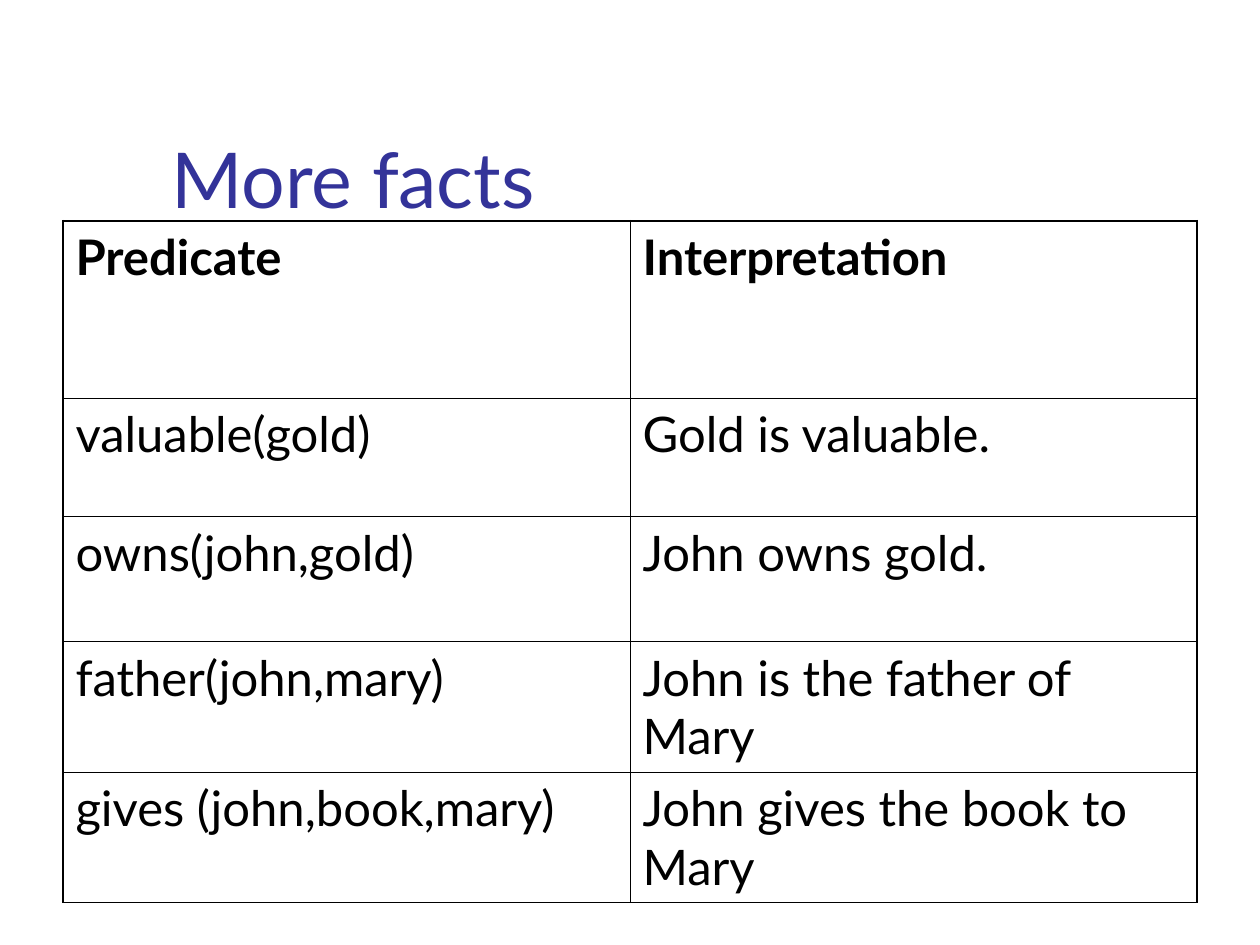
from lxml.etree import SubElement
from pptx import Presentation
from pptx.dml.color import RGBColor
from pptx.enum.text import MSO_ANCHOR, PP_ALIGN
from pptx.oxml.ns import qn
from pptx.util import Cm, Pt

FONT = "Lato"
BLACK, INDIGO = "000000", "333399"
THIN, THICK = 0.45, 1.08

ROWS = [
    ("Predicate", "Interpretation"),
    ("valuable(gold)", "Gold is valuable."),
    ("owns(john,gold)", "John owns gold."),
    ("father(john,mary)", "John is the father of Mary"),
    ("gives (john,book,mary)", "John gives the book to Mary"),
]
ROW_HEIGHTS = [3.58, 2.38, 2.52, 2.63, 2.63]


def rgb(color):
    return RGBColor.from_string(color)


def format_text(tf, size, color, bold=False):
    tf.word_wrap = True
    tf.margin_left = tf.margin_right = Cm(0.25)
    tf.margin_top = tf.margin_bottom = Cm(0.13)
    for p in tf.paragraphs:
        p.alignment = PP_ALIGN.LEFT
        for r in p.runs:
            r.font.name = FONT
            r.font.size = Pt(size)
            r.font.bold = bold
            r.font.color.rgb = rgb(color)


def set_border(cell, side, width):
    ln = SubElement(cell._tc.get_or_add_tcPr(), qn(f"a:ln{side}"), w=str(Pt(width)))
    fill = SubElement(ln, qn("a:solidFill"))
    SubElement(fill, qn("a:srgbClr"), val=BLACK)


def add_title(s, text, left, top, width, height):
    sp = s.shapes.title
    sp.left, sp.top, sp.width, sp.height = Cm(left), Cm(top), Cm(width), Cm(height)
    tf = sp.text_frame
    tf.text = text
    tf.vertical_anchor = MSO_ANCHOR.BOTTOM
    format_text(tf, 44, INDIGO)


def add_facts_table(s, left, top, width):
    n_rows, n_cols = len(ROWS), len(ROWS[0])
    table = s.shapes.add_table(n_rows, n_cols, Cm(left), Cm(top),
                               Cm(width), Cm(sum(ROW_HEIGHTS))).table
    table.first_row = table.horz_banding = False
    for row, height in zip(table.rows, ROW_HEIGHTS):
        row.height = Cm(height)
    for column in table.columns:
        column.width = Cm(width / n_cols)

    for i, texts in enumerate(ROWS):
        for j, text in enumerate(texts):
            cell = table.cell(i, j)
            cell.text = text
            cell.vertical_anchor = MSO_ANCHOR.TOP
            format_text(cell.text_frame, 28, BLACK, bold=i == 0)
            # Thick lines around the table, thin lines inside it
            outer = {"L": j == 0, "R": j == n_cols - 1,
                     "T": i == 0, "B": i == n_rows - 1}
            for side, is_outer in outer.items():
                set_border(cell, side, THICK if is_outer else THIN)
            cell.fill.background()


def main():
    prs = Presentation()
    prs.slide_width, prs.slide_height = Cm(25.4), Cm(19.05)
    s = prs.slides.add_slide(prs.slide_layouts[5])
    add_title(s, "More facts", 3.2, 0.58, 21.64, 4.06)
    add_facts_table(s, 1.27, 4.45, 22.86)
    prs.save("out.pptx")


if __name__ == "__main__":
    main()
